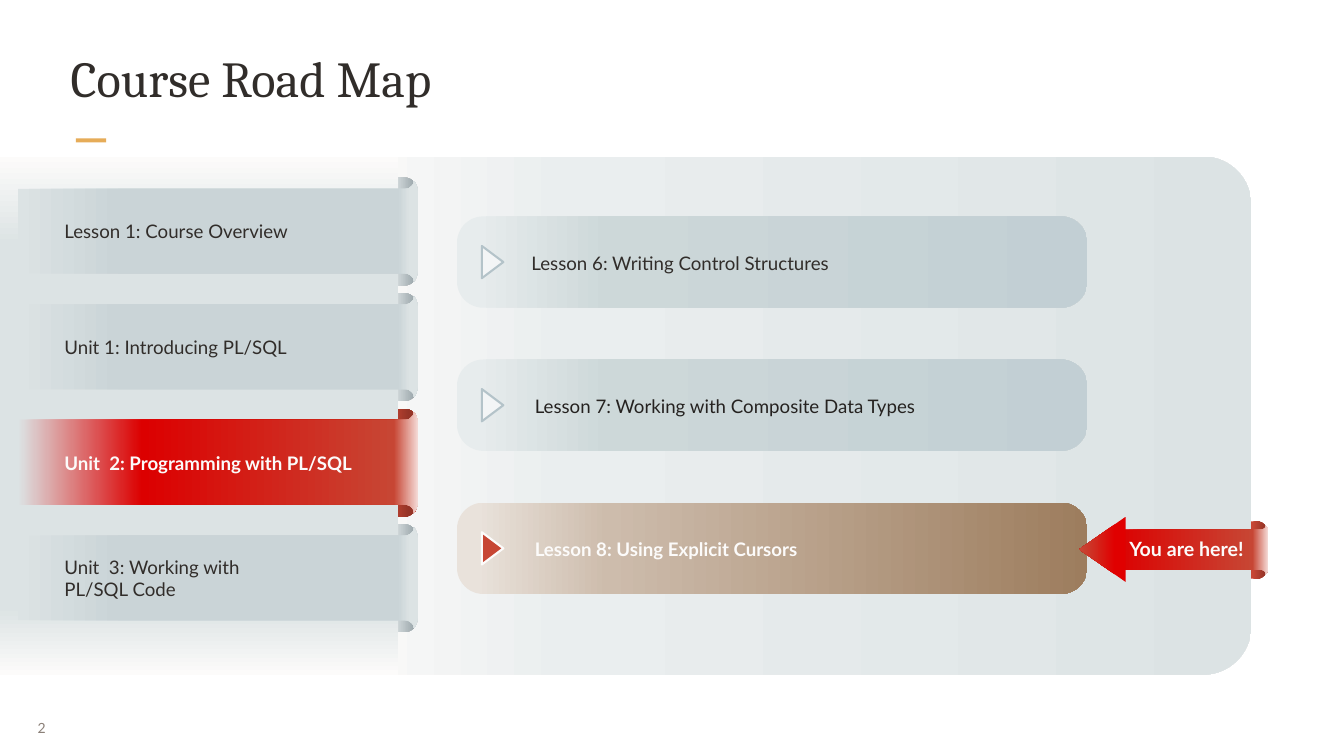
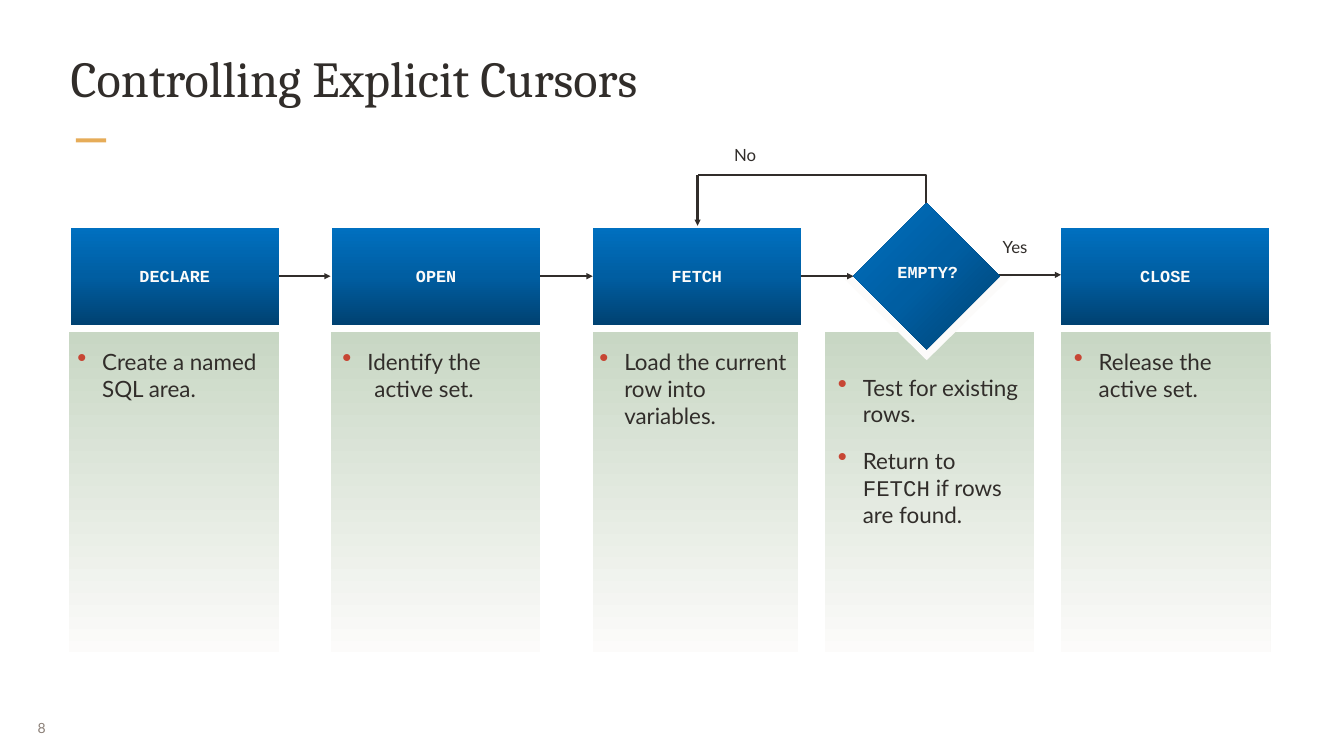
from dataclasses import dataclass

from lxml import etree
from pptx import Presentation
from pptx.dml.color import RGBColor
from pptx.enum.dml import MSO_FILL
from pptx.enum.shapes import MSO_CONNECTOR, MSO_SHAPE
from pptx.enum.text import MSO_ANCHOR, PP_ALIGN
from pptx.oxml.ns import qn
from pptx.util import Inches, Pt

RECTANGLE = MSO_SHAPE.RECTANGLE
ROUNDED = MSO_SHAPE.ROUNDED_RECTANGLE
TRIANGLE = MSO_SHAPE.ISOSCELES_TRIANGLE
STRAIGHT = MSO_CONNECTOR.STRAIGHT
GRADIENT = MSO_FILL.GRADIENT
LEFT, CENTER, JUSTIFY = PP_ALIGN.LEFT, PP_ALIGN.CENTER, PP_ALIGN.JUSTIFY
TOP, MIDDLE = MSO_ANCHOR.TOP, MSO_ANCHOR.MIDDLE


@dataclass(frozen=True)
class Theme:
    """Fonts, sizes, colours and gradients (angle, then position and colour stops)."""
    title_font: str = "Cambria"
    body_font: str = "Lato"
    code_font: str = "Courier New"
    title_size: int = 54
    bullet_size: int = 24
    here_size: int = 21
    item_size: int = 20
    step_size: int = 18
    number_size: int = 15
    line_width: float = 2.25
    ink: str = "312D2A"
    dark_ink: str = "252220"
    paper: str = "FCFBFA"
    accent: str = "E6AC58"
    number: str = "8B8078"
    red: str = "C74634"
    marker: str = "F3F5F6"
    marker_line: str = "B4C3C9"
    unit_panel: tuple = (90, (0, "FCFBFA"), (17, "DCE3E4"), (87, "DCE3E4"), (100, "FCFBFA"))
    lesson_panel: tuple = (0, (0, "FCFBFA"), (26, "EAEEEF"), (100, "DCE3E4"))
    lesson: tuple = (0, (3, "E7ECED"), (24, "CDD8D9"), (100, "C2CFD4"))
    current_lesson: tuple = (0, (3, "E9E2DB"), (24, "CDBCAC"), (100, "9D7D5E"))
    unit: tuple = (0, (0, "DCE3E4"), (25, "CAD4D7"), (95, "CAD4D7"), (98, "DCE3E4"))
    current_unit: tuple = (0, (0, "DCE3E4"), (31, "DC0000"), (94, "C74634"), (100, "F4DAD6"))
    curl: tuple = (0, (77, "DEE4E5"), (99, "96A2A7"))
    current_curl: tuple = (0, (73, "C74634"), (92, "953427"))
    here_curl: tuple = (0, (11, "C74634"), (92, "953427"))
    here_band: tuple = (0, (0, "DC0000"), (90, "C74634"), (100, "F4DAD6"))
    here_head: tuple = (270, (0, "E00000"), (23, "E00000"), (96, "C74634"))
    step: tuple = (270, (0, "004272"), (50, "005EA2"), (100, "0070C0"))
    step_panel: tuple = (90, (0, "C8D7C4"), (100, "FCFBFA"))


THEME = Theme()


def rgb(color):
    return RGBColor.from_string(color)


def add_element(parent, tag, **attributes):
    return etree.SubElement(parent, qn(tag), attributes)


def paint(shape, fill, line=None):
    """Fill with a colour, a gradient or nothing, and draw the outline if given."""
    shape.shadow.inherit = False
    if fill is None:
        shape.fill.background()
    elif isinstance(fill, str):
        shape.fill.solid()
        shape.fill.fore_color.rgb = rgb(fill)
    else:
        angle, *stops = fill
        shape.fill.gradient()
        gradient = shape._element.spPr.find(qn("a:gradFill"))
        stop_list = gradient.find(qn("a:gsLst"))
        for old_stop in list(stop_list):
            stop_list.remove(old_stop)
        for position, color in stops:
            stop = add_element(stop_list, "a:gs", pos=str(position * 1000))
            add_element(stop, "a:srgbClr", val=color)
        gradient.find(qn("a:lin")).set("ang", str(angle * 60000))
    if line:
        shape.line.color.rgb = rgb(line)
        shape.line.width = Pt(THEME.line_width)
    else:
        shape.line.fill.background()


def add_box(slide, kind, box, fill, line=None, corner=None, rotation=0):
    shape = slide.shapes.add_shape(kind, *map(Inches, box))
    if corner is not None:
        shape.adjustments[0] = corner
    shape.rotation = rotation
    paint(shape, fill, line)
    return shape


def add_outline(slide, points, fill, line=None, close=True):
    start, *others = [(Inches(x), Inches(y)) for x, y in points]
    builder = slide.shapes.build_freeform(*start, scale=1.0)
    builder.add_line_segments(others, close=close)
    shape = builder.convert_to_shape()
    paint(shape, fill, line)
    return shape


def curve(*controls, steps=8):
    """Points along the cubic curve with these four control points."""
    def blend(a, b, c, d, t):
        u = 1 - t
        return u ** 3 * a + 3 * u * u * t * b + 3 * u * t * t * c + t ** 3 * d
    xs, ys = zip(*controls)
    return [(blend(*xs, i / steps), blend(*ys, i / steps)) for i in range(steps + 1)]


def mirrored(points, top, height):
    """Close the upper half of an outline with its reflection."""
    return points + [(x, 2 * top + height - y) for x, y in reversed(points)]


def add_ribbon(slide, left, top, width, height, fill, scale=1.0):
    """Draw a band whose right end flares out to meet its curl."""
    def at(dx, dy):
        return left + width - dx * scale, top + dy * scale
    upper = [(left, top + 0.12 * scale)]
    upper += curve(at(0.19, 0.12), at(0.14, 0.12), at(0.1, 0.09), at(0.07, 0.05))
    upper += curve(at(0.06, 0), at(0.02, 0.05), at(0, 0.12), at(0, 0.2))
    add_outline(slide, mirrored(upper, top, height), fill)


def write_text(shape, text, *, size, color=THEME.ink, font=THEME.body_font, bold=False,
               align=LEFT, anchor=TOP, inset=(0.1, 0.05), wrap=True, bullet=False):
    """Write a string, or (text, font) pairs, as one paragraph; newlines break lines."""
    frame = shape.text_frame
    frame.word_wrap = wrap
    frame.vertical_anchor = anchor
    frame.margin_left = frame.margin_right = Inches(inset[0])
    frame.margin_top = frame.margin_bottom = Inches(inset[1])
    paragraph = frame.paragraphs[0]
    paragraph.alignment = align
    if bullet:
        properties = paragraph._p.get_or_add_pPr()
        indent = Inches(0.37)
        properties.set("marL", str(indent))
        properties.set("indent", str(-indent))
        bullet_color = add_element(properties, "a:buClr")
        add_element(bullet_color, "a:srgbClr", val=THEME.red)
        add_element(properties, "a:buSzPct", val="120000")
        add_element(properties, "a:buChar", char="•")
    for part, part_font in [(text, font)] if isinstance(text, str) else text:
        for index, piece in enumerate(part.split("\n")):
            if index:
                paragraph.add_line_break()
            run = paragraph.add_run()
            run.text = piece
            run.font.name = part_font
            run.font.size = Pt(size)
            run.font.bold = bold
            run.font.color.rgb = rgb(color)


def add_text(slide, box, text, **text_format):
    write_text(slide.shapes.add_textbox(*map(Inches, box)), text, **text_format)


def add_arrow(slide, start, end):
    arrow = slide.shapes.add_connector(STRAIGHT, *map(Inches, start + end))
    arrow.line.color.rgb = rgb(THEME.ink)
    arrow.line.width = Pt(THEME.line_width)
    properties = arrow._element.spPr
    add_element(properties.find(qn("a:ln")), "a:tailEnd", type="triangle")
    add_element(properties, "a:effectLst")


def add_slide(presentation, title, number):
    slide = presentation.slides.add_slide(presentation.slide_layouts[6])
    add_box(slide, RECTANGLE, (1.13, 2.06, 0.45, 0.06), THEME.accent)
    add_text(slide, (0.43, 10.54, 0.65, 0.58), number, size=THEME.number_size,
             color=THEME.number, align=JUSTIFY, anchor=MIDDLE, inset=(0.13, 0.07))
    add_text(slide, (1.02, 0.67, 17.96, 1.28), title, size=THEME.title_size,
             font=THEME.title_font, inset=(0.03, 0.03))
    return slide


def add_lesson(slide, top, text_left, text, color, current):
    add_box(slide, ROUNDED, (6.8, top, 9.38, 1.36),
            THEME.current_lesson if current else THEME.lesson, corner=0.289)
    add_box(slide, TRIANGLE, (7.09, top + 0.52, 0.48, 0.32),
            THEME.red if current else THEME.marker,
            line=THEME.paper if current else THEME.marker_line, rotation=90)
    add_text(slide, (text_left, top + 0.47, 7.6, 0.44), text, size=THEME.item_size,
             color=color, bold=current, anchor=MIDDLE)


def add_here_arrow(slide):
    left, top, right, height = 18.62, 7.76, 18.85, 0.85
    corner = curve((18.71, top), (18.79, top), (right, 7.83), (right, 7.91))
    add_outline(slide, mirrored([(left, top)] + corner, top, height), THEME.here_curl)
    add_ribbon(slide, 16.57, 7.82, 2.3, 0.72, THEME.here_band, scale=0.5)
    add_box(slide, TRIANGLE, (15.92, 7.83, 0.97, 0.69), THEME.here_head, rotation=270)
    add_text(slide, (16.57, 7.94, 2.17, 0.45), "You are here!", size=THEME.here_size,
             color=THEME.paper, bold=True, align=CENTER)


def build_road_map(presentation):
    slide = add_slide(presentation, "Course Road Map", "2")
    add_box(slide, ROUNDED, (4.87, 2.33, 13.75, 7.71), THEME.lesson_panel, corner=0.093)
    lessons = [
        (7.81, "Lesson 6: Writing Control Structures", THEME.ink),
        (7.86, "Lesson 7: Working with Composite Data Types", THEME.dark_ink),
        (7.86, "Lesson 8: Using Explicit Cursors", THEME.paper),
    ]
    for index, (text_left, text, color) in enumerate(lessons):
        add_lesson(slide, 3.22 + 2.13 * index, text_left, text, color, current=index == 2)
    add_here_arrow(slide)

    units = [
        ("Lesson 1: Course Overview", 4.9),
        ("Unit 1: Introducing PL/SQL", 4.9),
        ("Unit  2: Programming with PL/SQL", 4.9),
        ("Unit  3: Working with PL/SQL Code", 3.63),
    ]
    current_unit = 2
    tops = [2.69 + 1.72 * index for index in range(len(units))]
    for index, top in enumerate(tops):
        add_box(slide, ROUNDED, (4.63, top - 0.05, 1.58, 1.61),
                THEME.current_curl if index == current_unit else THEME.curl, corner=0.126)
    add_box(slide, RECTANGLE, (0, 2.33, 5.93, 7.71), THEME.unit_panel)
    for index, (top, (text, width)) in enumerate(zip(tops, units)):
        current = index == current_unit
        add_ribbon(slide, 0.27, top, 5.95, 1.5, THEME.current_unit if current else THEME.unit)
        add_text(slide, (0.86, top + 0.37, width, 0.77), text, size=THEME.item_size,
                 color=THEME.paper if current else THEME.ink, bold=current, anchor=MIDDLE)


def build_cursor_flow(presentation):
    slide = add_slide(presentation, "Controlling Explicit Cursors", "8")
    inset = (0.15, 0.08)
    label = dict(size=THEME.step_size, align=CENTER, inset=inset, wrap=False)
    code = dict(label, font=THEME.code_font, color=THEME.paper, bold=True)

    for left, width in [(1.03, 3.12), (4.92, 3.12), (8.82, 3.06), (12.27, 3.12), (15.79, 3.12)]:
        add_box(slide, RECTANGLE, (left, 4.94, width, 4.77), THEME.step_panel)
    add_box(slide, TRIANGLE, (12.51, 4.1, 2.56, 1.26), THEME.paper, rotation=180)

    return_text = [("Return to ", THEME.body_font), ("FETCH", THEME.code_font),
                   (" if rows are found.", THEME.body_font)]
    bullets = [
        (1, 5.1, 3.37, "Create a named SQL area.", LEFT),
        (4.5, 5.1, 3.25, "Identify the\nactive set.", CENTER),
        (8.77, 5.1, 3.3, "Load the current row into variables.", LEFT),
        (12.32, 5.48, 3.67, "Test for existing rows.", LEFT),
        (12.32, 6.57, 3.12, return_text, LEFT),
        (15.83, 5.1, 3.16, "Release the active set.", LEFT),
    ]
    for left, top, width, text, align in bullets:
        add_text(slide, (left, top, width, 1.5), text, size=THEME.bullet_size,
                 align=align, inset=inset, bullet=True)

    for start, end, y in [(3.88, 4.92, 4.11), (7.83, 8.82, 4.11), (11.17, 12.7, 4.11),
                          (14.46, 15.79, 4.09)]:
        add_arrow(slide, (start, y), (end, y))
    for left, name in [(1.05, "DECLARE"), (4.94, "OPEN"), (8.82, "FETCH"), (15.79, "CLOSE")]:
        step = add_box(slide, RECTANGLE, (left, 3.39, 3.1, 1.44), THEME.step)
        write_text(step, name, anchor=MIDDLE, **code)

    add_outline(slide, [(13.78, 3.11), (13.78, 2.61), (10.38, 2.61)], None,
                line=THEME.ink, close=False)
    add_arrow(slide, (10.38, 2.61), (10.38, 3.36))
    add_box(slide, RECTANGLE, (13.02, 3.34, 1.54, 1.54), THEME.step, rotation=315)
    add_text(slide, (13.2, 3.81, 1.21, 0.46), "EMPTY?", **code)
    add_text(slide, (10.77, 2.07, 0.64, 0.46), "No", **label)
    add_text(slide, (14.76, 3.44, 0.69, 0.46), "Yes", **label)


def main():
    presentation = Presentation()
    presentation.slide_width = Inches(20)
    presentation.slide_height = Inches(11.25)
    build_road_map(presentation)
    build_cursor_flow(presentation)
    presentation.save("out.pptx")


if __name__ == "__main__":
    main()
